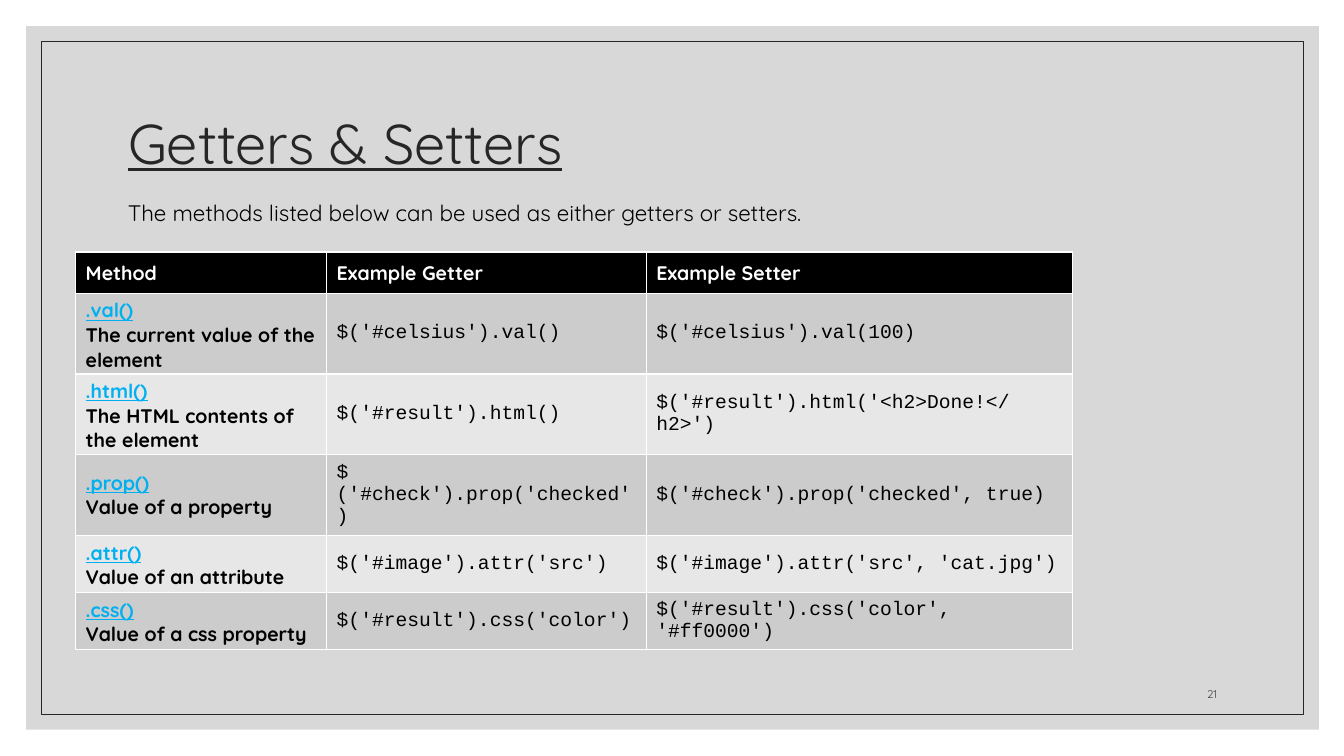
"""Build the jQuery getters and setters slide."""
from lxml.etree import SubElement
from pptx import Presentation
from pptx.dml.color import RGBColor
from pptx.enum.shapes import MSO_SHAPE as Shape
from pptx.enum.text import MSO_ANCHOR as Anchor, MSO_AUTO_SIZE as AutoSize, PP_ALIGN as Align
from pptx.oxml.ns import qn
from pptx.util import Inches, Pt

COLORS = {
    "panel": "BFBFBF", "frame": "262626", "number": "404040",
    "black": "000000", "white": "FFFFFF", "link": "00B0F0",
    "odd": "CCCCCC", "even": "E7E7E7",
}
METHODS = [
    (".val()", "The current value of the element",
     "$('#celsius').val()", "$('#celsius').val(100)"),
    (".html()", "The HTML contents of the element",
     "$('#result').html()", "$('#result').html('<h2>Done!</h2>')"),
    (".prop()", "Value of a property",
     "$('#check').prop('checked')", "$('#check').prop('checked', true)"),
    (".attr()", "Value of an attribute",
     "$('#image').attr('src')", "$('#image').attr('src', 'cat.jpg')"),
    (".css()", "Value of a css property",
     "$('#result').css('color')", "$('#result').css('color', '#ff0000')"),
]


def rgb(name):
    """Return the named colour."""
    return RGBColor.from_string(COLORS[name])


def write(para, text, size=14, color="black", font="Quicksand",
          bold=False, underline=False, align=Align.LEFT):
    """Put formatted text into a paragraph."""
    para.alignment = align
    span = para.add_run()
    span.text = text
    span.font.name = font
    span.font.size = Pt(size)
    span.font.bold = bold
    span.font.underline = underline
    span.font.color.rgb = rgb(color)


deck = Presentation()
deck.slide_width, deck.slide_height = Inches(13.33), Inches(7.5)
page = deck.slides.add_slide(deck.slide_layouts[5])

panel = page.shapes.add_shape(
    Shape.RECTANGLE, Inches(0.26), Inches(0.26), Inches(12.82), Inches(6.98))
panel.shadow.inherit = False
panel.fill.solid()
panel.fill.fore_color.rgb = rgb("panel")
panel.line.fill.background()
panel_color = panel._element.spPr.find(qn("a:solidFill"))[0]
SubElement(panel_color, qn("a:alpha"), val="60000")

frame = page.shapes.add_shape(
    Shape.RECTANGLE, Inches(0.41), Inches(0.41), Inches(12.52), Inches(6.68))
frame.shadow.inherit = False
frame.fill.background()
frame.line.color.rgb = rgb("frame")
frame.line.width = Pt(0.5)

title = page.shapes.title
page.shapes._spTree.append(title._element)
title.left, title.top = Inches(1.17), Inches(0.7)
title.width, title.height = Inches(11), Inches(1.5)
title.text_frame.auto_size = AutoSize.NONE
title.text_frame.vertical_anchor = Anchor.MIDDLE
title_para = title.text_frame.paragraphs[0]
title_para.line_spacing = 0.9
write(title_para, "Getters & Setters", size=40, color="frame", underline=True)

intro = page.shapes.add_textbox(Inches(1.17), Inches(1.93), Inches(11), Inches(0.54))
intro.text_frame.word_wrap = True
intro_para = intro.text_frame.paragraphs[0]
intro_para.space_after = Pt(6)
write(intro_para, "The methods listed below can be used as either getters or setters.", size=16)

number = page.shapes.add_textbox(Inches(11.25), Inches(6.6), Inches(0.92), Inches(0.4))
number.text_frame.word_wrap = True
number.text_frame.vertical_anchor = Anchor.BOTTOM
write(number.text_frame.paragraphs[0], "21", size=8, color="number", align=Align.RIGHT)

row_count = len(METHODS) + 1
table = page.shapes.add_table(
    row_count, 3, Inches(0.75), Inches(2.5), Inches(9.89), Inches(0.41 * row_count)).table
for column, width in zip(table.columns, (2.49, 3.17, 4.23)):
    column.width = Inches(width)

for cell, heading in zip(table.rows[0].cells, ("Method", "Example Getter", "Example Setter")):
    write(cell.text_frame.paragraphs[0], heading, color="white", bold=True)

for index, (method, meaning, getter, setter) in enumerate(METHODS, 1):
    method_cell, *code_cells = table.rows[index].cells
    write(method_cell.text_frame.paragraphs[0], method, color="link", bold=True, underline=True)
    write(method_cell.text_frame.add_paragraph(), meaning, bold=True)
    for cell, code in zip(code_cells, (getter, setter)):
        write(cell.text_frame.paragraphs[0], code, font="Courier New")

for index, row in enumerate(table.rows):
    fill = "black" if index == 0 else "odd" if index % 2 else "even"
    for cell in row.cells:
        cell.vertical_anchor = Anchor.MIDDLE
        cell.fill.solid()
        cell.fill.fore_color.rgb = rgb(fill)

deck.save("out.pptx")
